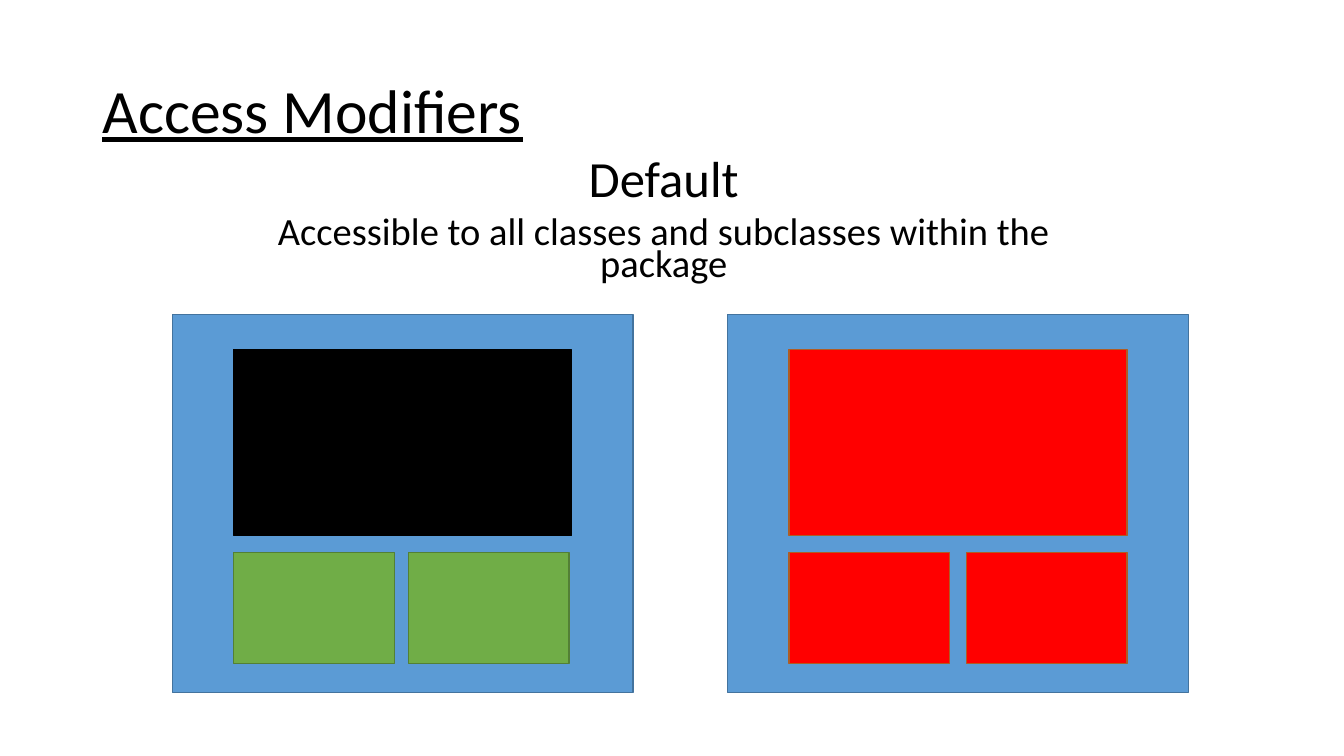
from pptx import Presentation
from pptx.dml.color import RGBColor
from pptx.enum.shapes import MSO_SHAPE
from pptx.enum.text import MSO_ANCHOR, MSO_AUTO_SIZE, PP_ALIGN
from pptx.oxml.ns import qn
from pptx.util import Pt

FONT = "Calibri"
TITLE = "Access Modifiers"
BODY_LINES = [
    ("Default", 36.2, 0),
    ("Accessible to all classes and subclasses within the package", 27.5, 10),
]
TITLE_AREA = (66, 28.8, 828, 104.4)
BODY_AREA = (152.6, 113, 643, 100)

PACKAGE_FILL, PACKAGE_LINE = "5B9BD5", "43739E"
PACKAGE_TOP, PACKAGE_WIDTH, PACKAGE_HEIGHT = 224.8, 329, 270
CLASS_INSET, CLASS_DROP, CLASS_WIDTH, CLASS_HEIGHT = 43.9, 25, 241.4, 132.8
SUBCLASS_DROP, SUBCLASS_WIDTH, SUBCLASS_HEIGHT = 169.9, 114.7, 79.2
PACKAGES = [
    {"left": 123.1, "class": ("000000", "000000"),
     "subclass": ("70AD47", "538035"), "gap": 10},
    {"left": 519.8, "class": ("FF0000", "AF5C24"),
     "subclass": ("FF0000", "AF5C24"), "gap": 12},
]


def color(value):
    return RGBColor.from_string(value)


def place(shape, left, top, width, height):
    shape.left, shape.top = Pt(left), Pt(top)
    shape.width, shape.height = Pt(width), Pt(height)


def add_span(para, text, size, underline=False):
    span = para.add_run()
    span.text = text
    span.font.name = FONT
    span.font.size = Pt(size)
    span.font.underline = underline
    span.font.color.rgb = color("000000")


def add_box(page, left, top, width, height, fill, line):
    box = page.shapes.add_shape(
        MSO_SHAPE.RECTANGLE, Pt(left), Pt(top), Pt(width), Pt(height))
    box.shadow.inherit = False
    box.fill.solid()
    box.fill.fore_color.rgb = color(fill)
    box.line.color.rgb = color(line)
    box.line.width = Pt(1)


def add_title(page):
    title = page.shapes.title
    place(title, *TITLE_AREA)
    frame = title.text_frame
    frame.auto_size = MSO_AUTO_SIZE.NONE
    frame.vertical_anchor = MSO_ANCHOR.MIDDLE
    para = frame.paragraphs[0]
    para.alignment = PP_ALIGN.LEFT
    para.line_spacing = 0.9
    add_span(para, TITLE, 44, True)


def add_body(page):
    body = page.placeholders[1]
    place(body, *BODY_AREA)
    frame = body.text_frame
    frame.auto_size = MSO_AUTO_SIZE.NONE
    frame.vertical_anchor = MSO_ANCHOR.TOP
    for index, (text, size, space) in enumerate(BODY_LINES):
        para = frame.add_paragraph() if index else frame.paragraphs[0]
        properties = para._p.get_or_add_pPr()
        properties.set("marL", "0")
        properties.set("indent", "0")
        properties.append(properties.makeelement(qn("a:buNone"), {}))
        para.alignment = PP_ALIGN.CENTER
        para.line_spacing = 0.7
        para.space_before = Pt(space)
        add_span(para, text, size)


def add_package(page, package):
    left = package["left"]
    inner_left = left + CLASS_INSET
    add_box(page, left, PACKAGE_TOP, PACKAGE_WIDTH, PACKAGE_HEIGHT,
            PACKAGE_FILL, PACKAGE_LINE)
    add_box(page, inner_left, PACKAGE_TOP + CLASS_DROP,
            CLASS_WIDTH, CLASS_HEIGHT, *package["class"])
    for column in range(2):
        add_box(page, inner_left + column * (SUBCLASS_WIDTH + package["gap"]),
                PACKAGE_TOP + SUBCLASS_DROP, SUBCLASS_WIDTH, SUBCLASS_HEIGHT,
                *package["subclass"])


def main():
    deck = Presentation()
    deck.slide_width, deck.slide_height = Pt(960), Pt(540)
    page = deck.slides.add_slide(deck.slide_layouts[1])
    add_title(page)
    add_body(page)
    for package in PACKAGES:
        add_package(page, package)
    deck.save("out.pptx")


if __name__ == "__main__":
    main()
